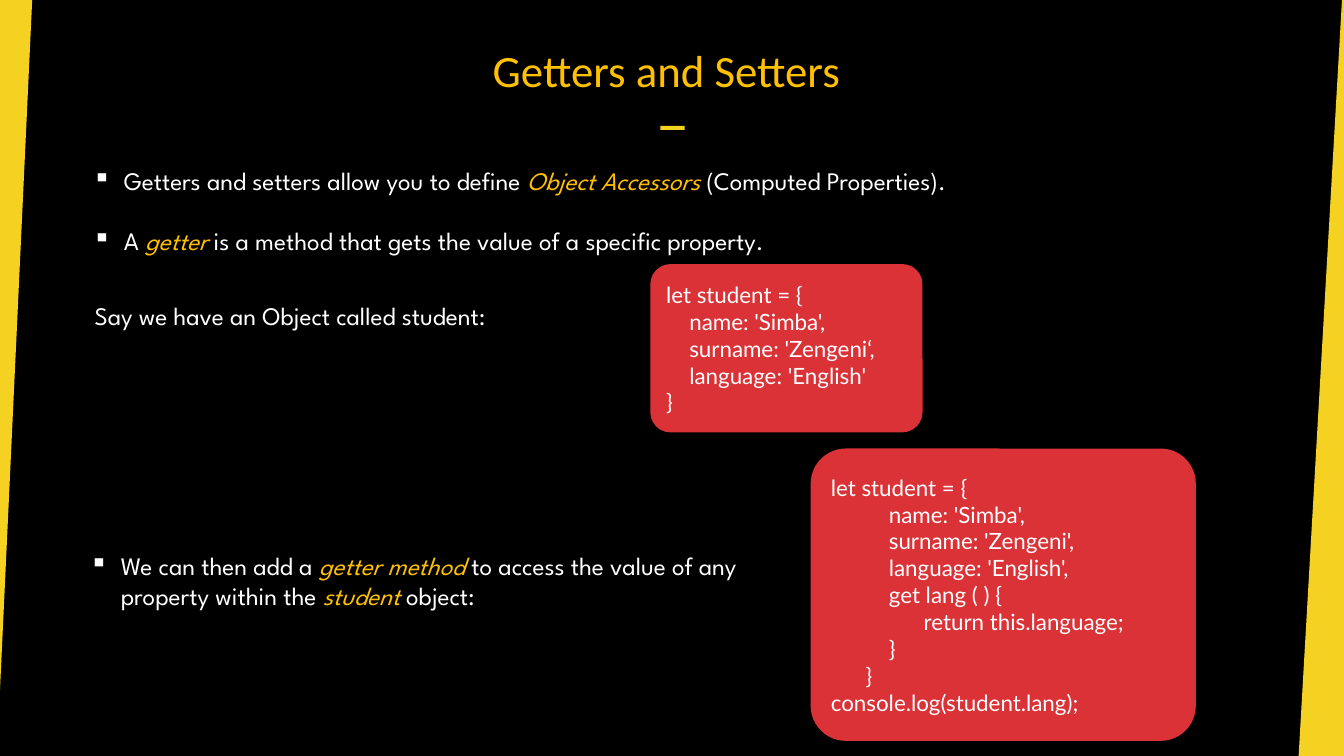
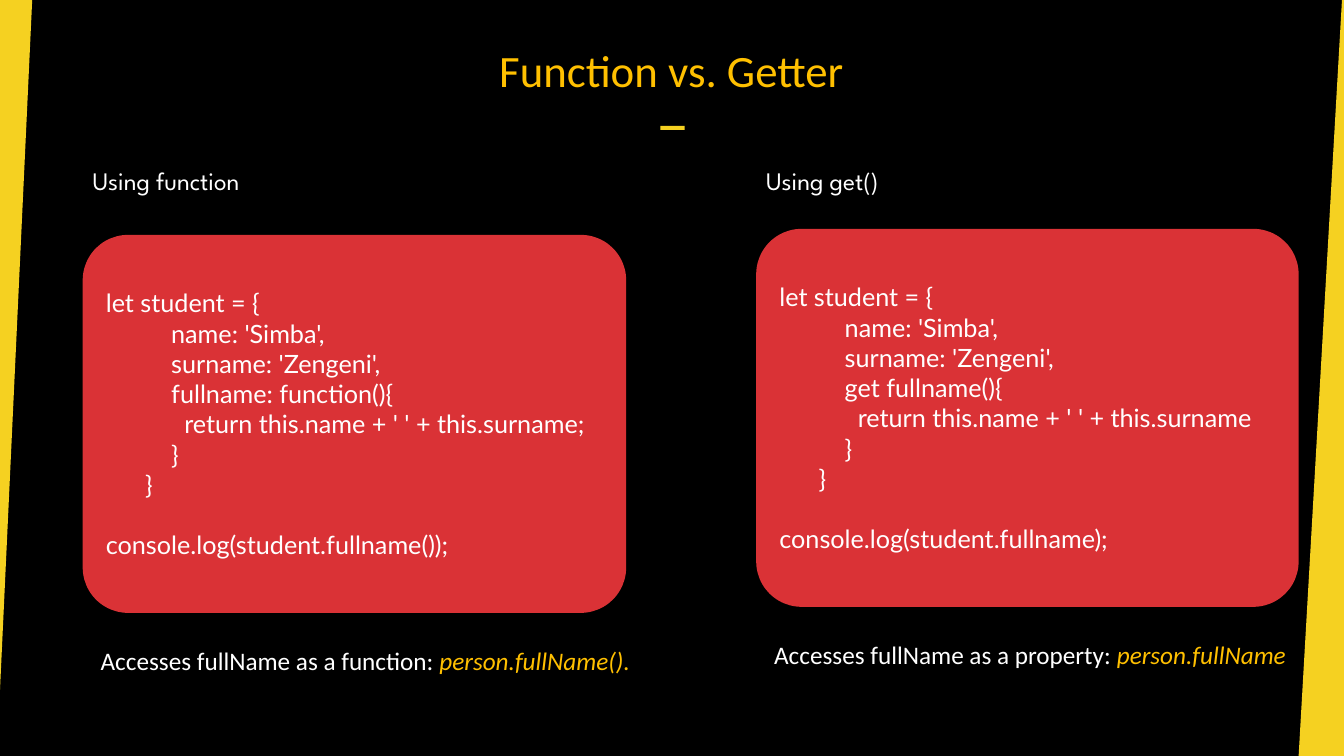
from pptx import Presentation
from pptx import util as u
from pptx.dml.color import RGBColor
from pptx.enum import shapes, text
from pptx.oxml.ns import qn
from lxml import etree

Inches, Pt = u.Inches, u.Pt

COLOURS = {
    "background": "000000",
    "band": "F5D121",
    "accent": "FFC000",
    "panel": "DA3236",
    "text": "FFFFFF",
}
TITLE_FONT, BODY_FONT, CODE_FONT = "Calibri", "League Spartan", "Lato"
WIDTH, HEIGHT = 13.33, 7.5
BULLET_INDENT = 0.31
SPACE_WIDTH = 0.0036  # inches per code column and point of text size
LINE_HEIGHT = 1.2

LEFT_BAND = [(-0.05, 0), (0.32, 0), (-0.03, HEIGHT), (-0.05, HEIGHT)]
RIGHT_BAND = [(13.31, 0), (WIDTH, 0), (WIDTH, HEIGHT), (12.88, HEIGHT)]


def colour(name):
    return RGBColor.from_string(COLOURS[name])


def fill_plain(shape, name):
    shape.fill.solid()
    shape.fill.fore_color.rgb = colour(name)
    shape.line.fill.background()
    shape.shadow.inherit = False


def set_font(para, face, size, name="text"):
    para.font.name = face
    para.font.size = Pt(size)
    para.font.color.rgb = colour(name)


def next_para(frame, index):
    return frame.paragraphs[0] if index == 0 else frame.add_paragraph()


def add_bullet(para):
    properties = para._p.get_or_add_pPr()
    properties.set("marL", str(Inches(BULLET_INDENT)))
    properties.set("indent", str(-Inches(BULLET_INDENT)))
    etree.SubElement(properties, qn("a:buChar")).set("char", "▪")


# Background, slanted bands, title and the dash below it
def add_page(deck, title_text):
    page = deck.slides.add_slide(deck.slide_layouts[5])
    for points in (LEFT_BAND, RIGHT_BAND):
        corners = [(Inches(x), Inches(y)) for x, y in points]
        builder = page.shapes.build_freeform(*corners[0])
        builder.add_line_segments(corners[1:], close=True)
        fill_plain(builder.convert_to_shape(), "band")
    dash = page.shapes.add_shape(
        shapes.MSO_SHAPE.RECTANGLE,
        Inches(6.55), Inches(1.25), Inches(0.24), Inches(0.04))
    fill_plain(dash, "band")

    title = page.shapes.title
    title.left, title.top = Inches(2.1), Inches(0.21)
    title.width, title.height = Inches(9.12), Inches(0.75)
    frame = title.text_frame
    frame.text = title_text
    frame.vertical_anchor = text.MSO_ANCHOR.BOTTOM
    frame.margin_top, frame.margin_bottom = Inches(0.04), 0
    para = frame.paragraphs[0]
    para.alignment = text.PP_ALIGN.CENTER
    set_font(para, TITLE_FONT, 32, "accent")
    return page


# Each line is a list of parts; every second part is emphasised
def add_prose(page, area, lines, face=BODY_FONT, bullets=False):
    box = page.shapes.add_textbox(*(Inches(length) for length in area))
    frame = box.text_frame
    frame.word_wrap = True
    for index, parts in enumerate(lines):
        para = next_para(frame, index)
        if index:
            para.space_before = Pt(21.5)
        if bullets:
            add_bullet(para)
        set_font(para, face, 18)
        for position, part in enumerate(parts):
            span = para.add_run()
            span.text = part
            if position % 2:
                span.font.italic = True
                span.font.color.rgb = colour("accent")


# Each code line is (column, text); the last one may stand apart
def add_code(page, area, lines, size, last_apart=False):
    panel = page.shapes.add_shape(
        shapes.MSO_SHAPE.ROUNDED_RECTANGLE,
        *(Inches(length) for length in area))
    panel.adjustments[0] = 0.12
    fill_plain(panel, "panel")
    frame = panel.text_frame
    frame.word_wrap = True
    frame.vertical_anchor = text.MSO_ANCHOR.MIDDLE
    for index, (column, code) in enumerate(lines):
        para = next_para(frame, index)
        para.text = code
        para.alignment = text.PP_ALIGN.LEFT
        indent = Inches(column * size * SPACE_WIDTH)
        para._p.get_or_add_pPr().set("marL", str(indent))
        set_font(para, CODE_FONT, size)
    if last_apart:
        para.space_before = Pt(size * LINE_HEIGHT)


def student_code(method, result, call):
    return [
        (0, "let student = {"),
        (10, "name: 'Simba',"),
        (10, "surname: 'Zengeni',"),
        *((10, line) for line in method),
        (12 if "+" in result else 16, result),
        (10, "}"),
        (6, "}"),
        (0, f"console.log({call});"),
    ]


# Heading, code panel and remark, placed from the column's left edge
def add_column(page, left, width, panel_top, heading, code, remark):
    add_prose(page, (left, 1.59, 2.64, 0.4), [[heading]])
    add_code(page, (left, panel_top, width, 3.75), code, 18, last_apart=True)
    add_prose(page, (left + 0.08, panel_top + 4.02, width + 0.1, 0.4),
              [remark], face=TITLE_FONT)


def build_getters(deck):
    page = add_page(deck, "Getters and Setters ")
    add_prose(page, (0.82, 1.59, 11.71, 1.01), [
        ["Getters and setters allow you to define ", "Object Accessors ",
         "(Computed Properties)."],
        ["A ", "getter",
         " is a method that gets the value of a specific property."],
    ], bullets=True)
    add_prose(page, (0.84, 2.93, 4.56, 0.4),
              [["Say we have an Object called student:"]])
    add_code(page, (6.45, 2.62, 2.7, 1.67), [
        (0, "let student = {"),
        (4, "name: 'Simba',"),
        (4, "surname: 'Zengeni‘,"),
        (4, "language: 'English'"),
        (0, "}"),
    ], 16)
    add_prose(page, (0.79, 5.41, 6.99, 0.71), [
        ["We can then add a ", "getter method ",
         "to access the value of any property within the ", "student ",
         "object:"],
    ], bullets=True)
    add_code(page, (8.04, 4.45, 3.82, 2.9), student_code(
        ["language: 'English',", "get lang ( ) {"],
        "return this.language;", "student.lang"), 16)


def build_comparison(deck):
    page = add_page(deck, "Function vs. Getter")
    result = "return this.name + ' ' + this.surname"
    add_column(
        page, 0.82, 5.39, 2.33, "Using function",
        student_code(["fullname: function(){"], result + ";",
                     "student.fullname()"),
        ["Accesses fullName as a function: ", "person.fullName()."])
    add_column(
        page, 7.5, 5.38, 2.27, "Using get()",
        student_code(["get fullname(){"], result, "student.fullname"),
        ["Accesses fullName as a property: ", "person.fullName"])


def main():
    deck = Presentation()
    deck.slide_width, deck.slide_height = Inches(WIDTH), Inches(HEIGHT)
    backdrop = deck.slide_master.background.fill
    backdrop.solid()
    backdrop.fore_color.rgb = colour("background")
    build_getters(deck)
    build_comparison(deck)
    deck.save("out.pptx")


if __name__ == "__main__":
    main()
